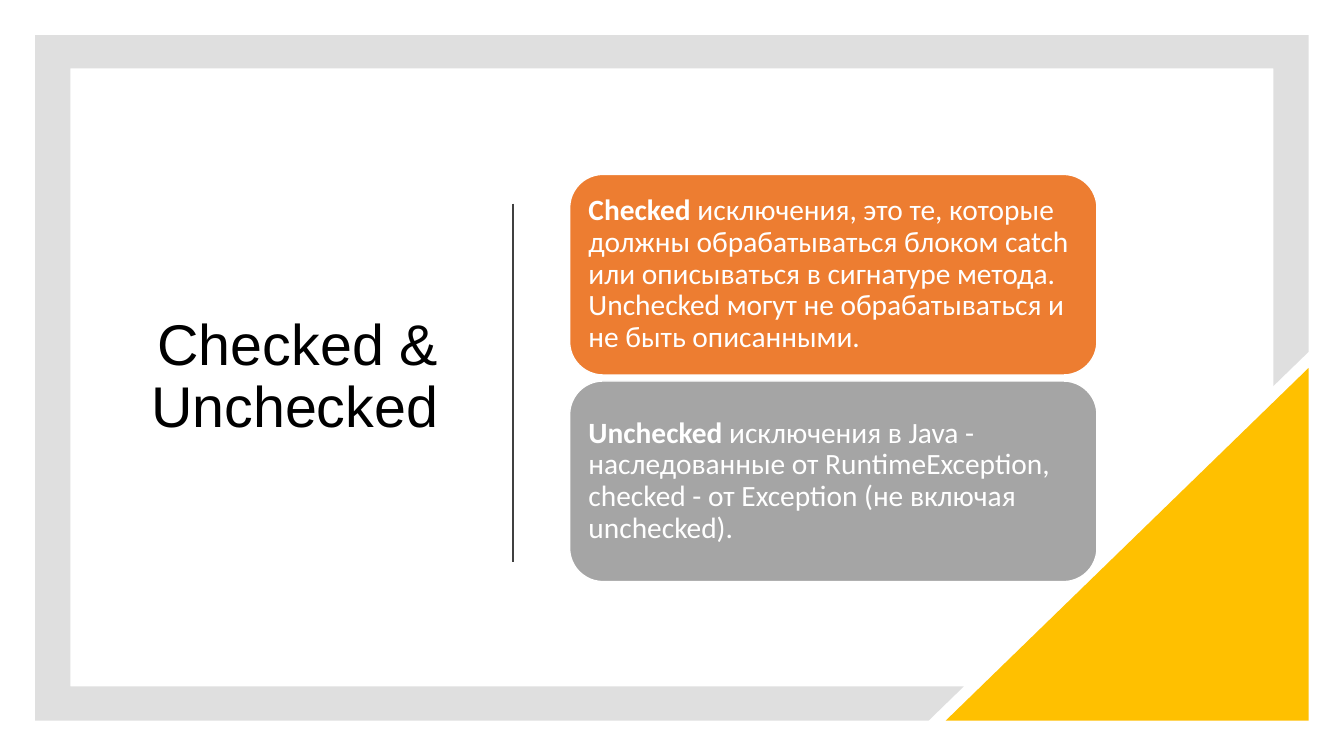
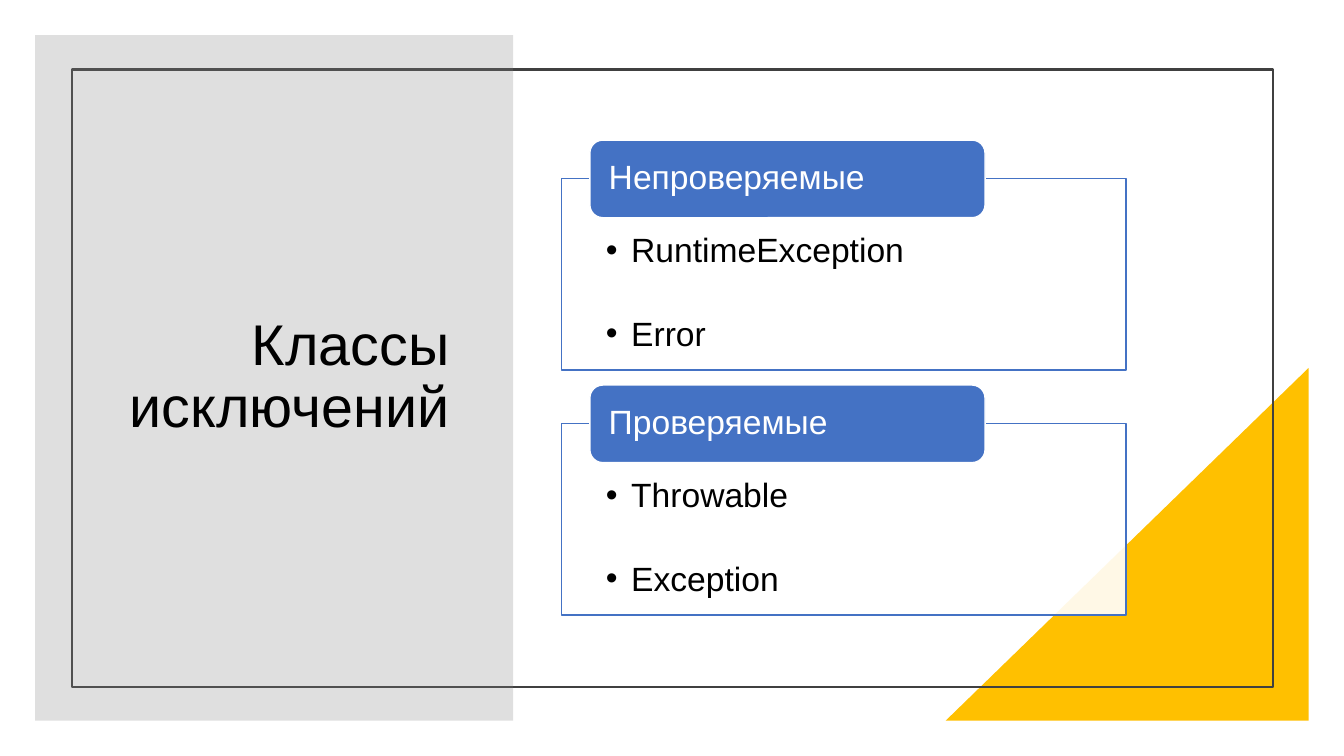
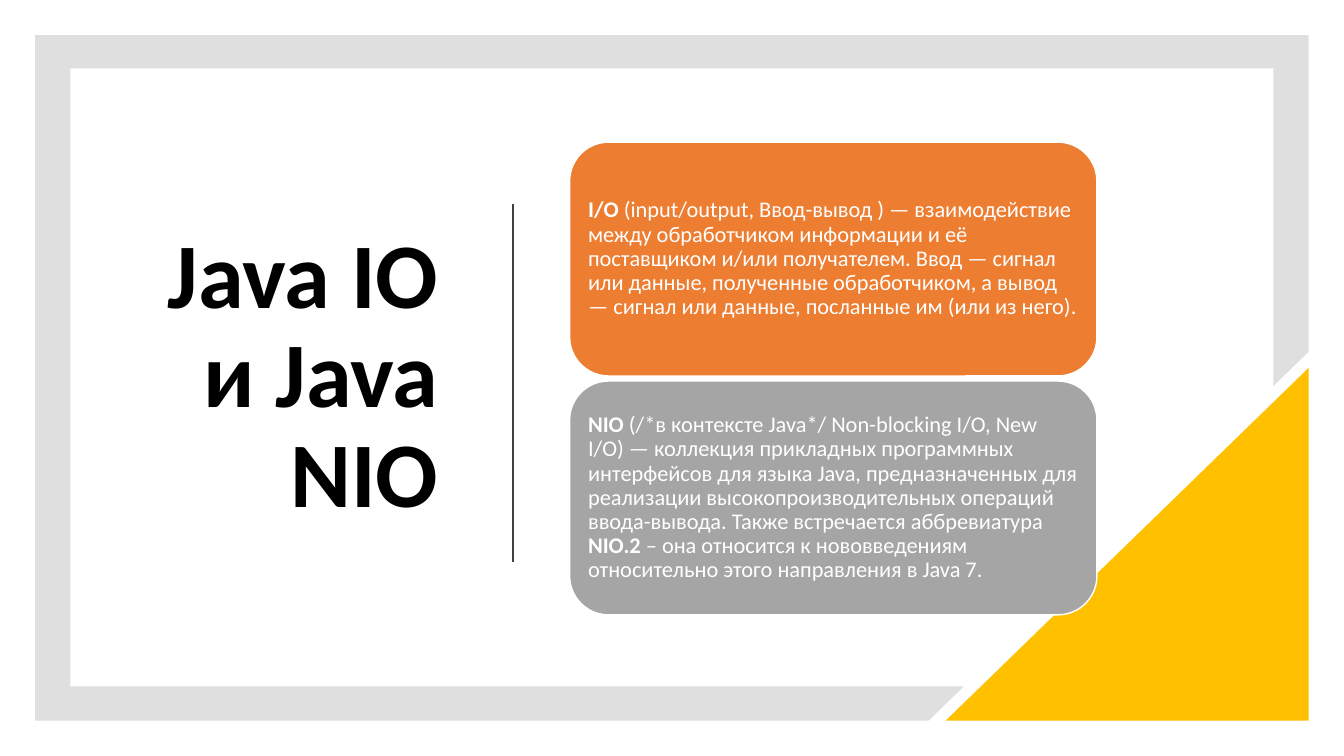
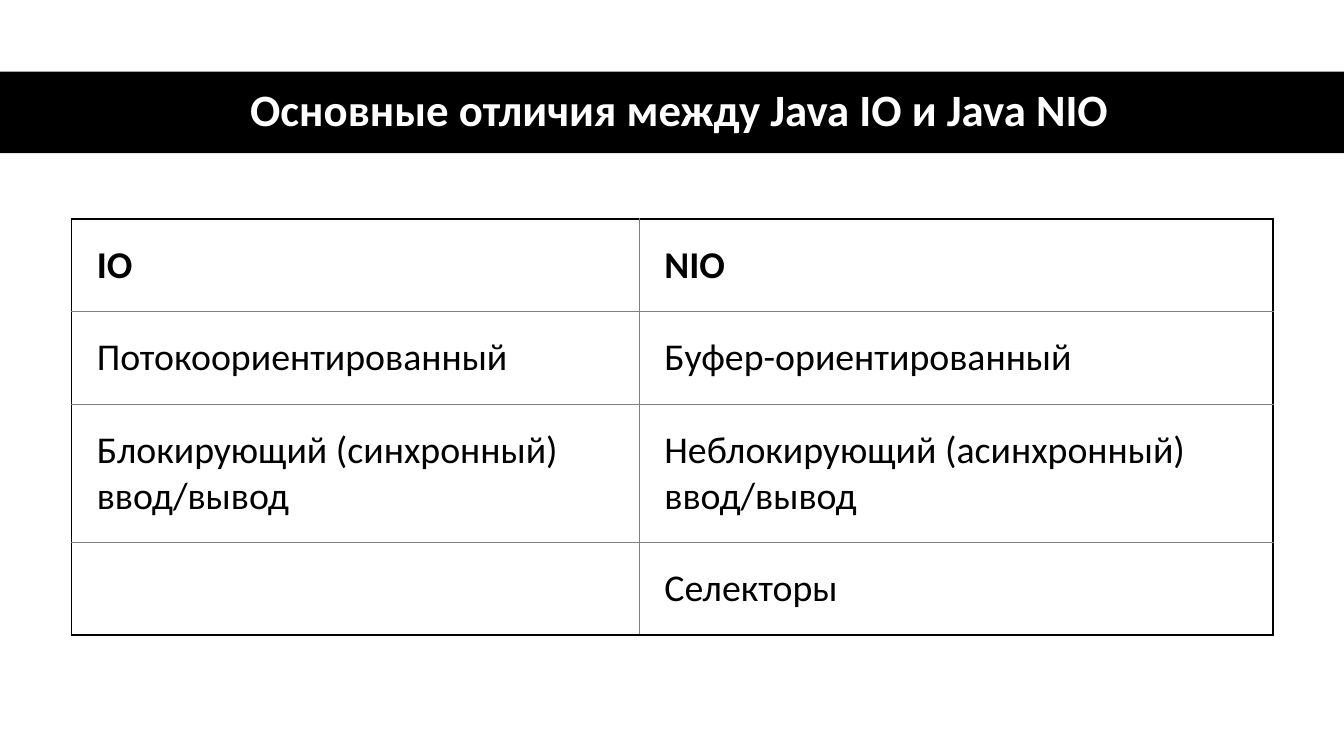
from pptx import Presentation
from pptx.dml.color import RGBColor
from pptx.enum.shapes import MSO_CONNECTOR, MSO_SHAPE
from pptx.enum.text import MSO_ANCHOR, MSO_AUTO_SIZE, PP_ALIGN
from pptx.oxml.ns import qn
from pptx.util import Inches, Pt
from lxml.etree import SubElement

BLACK, WHITE, GREY, DARK = "000000", "FFFFFF", "808080", "404040"
ORANGE, SILVER, BLUE, YELLOW = "ED7D31", "A5A5A5", "4472C4", "FFC000"


def paint(shape, fill=None, line=None, width=1, opacity=100):
    shape.shadow.inherit = False
    if fill:
        shape.fill.solid()
        shape.fill.fore_color.rgb = RGBColor.from_string(fill)
        if opacity < 100:
            color = shape.element.spPr.find(qn("a:solidFill"))[0]
            SubElement(color, qn("a:alpha")).set("val", str(opacity * 1000))
    else:
        shape.fill.background()
    if line:
        shape.line.color.rgb = RGBColor.from_string(line)
        shape.line.width = Pt(width)
    else:
        shape.line.fill.background()


def write(para, text, size, font, color, bold=False):
    span = para.add_run()
    span.text = text
    span.font.size = Pt(size)
    span.font.name = font
    span.font.bold = bold
    span.font.color.rgb = RGBColor.from_string(color)


deck = Presentation()
deck.slide_width = Inches(13.33)
deck.slide_height = Inches(7.5)
pages = [deck.slides.add_slide(deck.slide_layouts[number]) for number in (5, 3, 5, 5)]
checked_page, classes_page, io_page, table_page = pages

frame_corners = [
    (12.98, 0.35), (12.98, 3.49), (12.63, 3.83), (12.63, 0.68), (0.7, 0.68),
    (0.7, 6.81), (9.56, 6.81), (9.21, 7.15), (0.35, 7.15),
]
for page in (checked_page, io_page):
    builder = page.shapes.build_freeform(Inches(0.35), Inches(0.35))
    builder.add_line_segments([(Inches(x), Inches(y)) for x, y in frame_corners])
    paint(builder.convert_to_shape(), GREY, opacity=25)
    divider = page.shapes.add_connector(
        MSO_CONNECTOR.STRAIGHT, Inches(5.09), Inches(2.02), Inches(5.09), Inches(5.58))
    divider.line.color.rgb = RGBColor.from_string(DARK)
    divider.line.width = Pt(1.5)
    SubElement(divider.element.spPr, qn("a:effectLst"))

for page in (checked_page, classes_page, io_page):
    triangle = page.shapes.add_shape(
        MSO_SHAPE.RIGHT_TRIANGLE, Inches(9.38), Inches(3.65), Inches(3.6), Inches(3.5))
    triangle.element.spPr.xfrm.set("flipH", "1")
    paint(triangle, YELLOW)

outline = classes_page.shapes.add_shape(
    MSO_SHAPE.RECTANGLE, Inches(0.71), Inches(0.69), Inches(11.92), Inches(6.13))
paint(outline, line=DARK, width=1.5)
panel = classes_page.shapes.add_shape(
    MSO_SHAPE.RECTANGLE, Inches(0.35), Inches(0.35), Inches(4.74), Inches(6.8))
paint(panel, GREY, opacity=25)
band = table_page.shapes.add_shape(
    MSO_SHAPE.RECTANGLE, 0, Inches(0.71), deck.slide_width, Inches(0.81))
paint(band, BLACK)

titles = [
    ("Checked & Unchecked", (1.1, 1.3, 3.35, 4.9), 41, "Arial", BLACK, False, PP_ALIGN.RIGHT),
    ("Классы исключений", (1.1, 1.3, 3.46, 4.9), 41, "Arial", BLACK, False, PP_ALIGN.RIGHT),
    ("Java IO и Java NIO", (1.1, 1.3, 3.35, 4.9), 66, "Calibri", BLACK, True, PP_ALIGN.RIGHT),
    ("Основные отличия между Java IO и Java NIO", (0.61, 0.71, 12.26, 0.81), 32, "Calibri",
     WHITE, True, PP_ALIGN.CENTER),
]
for page, (text, place, size, font, color, bold, align) in zip(pages, titles):
    title = page.shapes.title
    title.element.getparent().append(title.element)
    title.left, title.top, title.width, title.height = [Inches(value) for value in place]
    title.text_frame.auto_size = MSO_AUTO_SIZE.NONE
    title.text_frame.vertical_anchor = MSO_ANCHOR.MIDDLE
    para = title.text_frame.paragraphs[0]
    para.alignment = align
    para.line_spacing = 0.9
    write(para, text, size, font, color, bold)

cards = [
    (checked_page, 1.73, 1.99, 0.09, 21, ORANGE, [
        ("Checked ", True),
        ("исключения, это те, которые должны обрабатываться блоком catch или описываться "
         "в сигнатуре метода. Unchecked могут не обрабатываться и не быть описанными.", False)]),
    (checked_page, 3.78, 1.99, 0.09, 21, SILVER, [
        ("Unchecked ", True),
        ("исключения в Java - наследованные от RuntimeException, checked - от Exception "
         "(не включая unchecked).", False)]),
    (io_page, 1.41, 2.32, 0.07, 16, ORANGE, [
        ("I/O", True),
        (" (input/output, Ввод-вывод ) — взаимодействие между обработчиком информации и её "
         "поставщиком и/или получателем. Ввод — сигнал или данные, полученные обработчиком, "
         "а вывод — сигнал или данные, посланные им (или из него).", False)]),
    (io_page, 3.78, 2.32, 0.07, 16, SILVER, [
        ("NIO", True),
        (" (/*в контексте Java*/ Non-blocking I/O, New I/O) — коллекция прикладных программных "
         "интерфейсов для языка Java, предназначенных для реализации высокопроизводительных "
         "операций ввода-вывода. Также встречается аббревиатура ", False),
        ("NIO.2", True),
        (" – она относится к нововведениям относительно этого направления в Java 7.", False)]),
]
for page, top, height, margin, size, color, parts in cards:
    card = page.shapes.add_shape(
        MSO_SHAPE.ROUNDED_RECTANGLE, Inches(5.65), Inches(top), Inches(5.23), Inches(height))
    paint(card, color, WHITE)
    frame = card.text_frame
    frame.word_wrap = True
    frame.vertical_anchor = MSO_ANCHOR.MIDDLE
    frame.margin_left = frame.margin_right = Inches(margin)
    frame.margin_top = frame.margin_bottom = Inches(margin)
    para = frame.paragraphs[0]
    para.alignment = PP_ALIGN.LEFT
    para.line_spacing = 0.9
    for text, bold in parts:
        write(para, text, size, "Calibri", WHITE, bold)

groups = [
    ("Непроверяемые", ["RuntimeException", "Error"]),
    ("Проверяемые", ["Throwable", "Exception"]),
]
for index, (heading, items) in enumerate(groups):
    top = 1.77 + 2.43 * index
    box = classes_page.placeholders[index + 1]
    box.element.getparent().append(box.element)
    box.left, box.top, box.width, box.height = Inches(5.57), Inches(top), Inches(5.6), Inches(1.9)
    paint(box, WHITE, BLUE, opacity=90)
    frame = box.text_frame
    frame.auto_size = MSO_AUTO_SIZE.NONE
    frame.vertical_anchor = MSO_ANCHOR.TOP
    frame.margin_left = frame.margin_right = Inches(0.44)
    frame.margin_top, frame.margin_bottom = Inches(0.55), Inches(0.19)
    for number, item in enumerate(items):
        para = frame.add_paragraph() if number else frame.paragraphs[0]
        para.line_spacing = 0.9
        para.space_before = Pt(33.5 * number)
        properties = para._p.get_or_add_pPr()
        properties.set("marL", str(Inches(0.25)))
        properties.set("indent", str(-Inches(0.25)))
        SubElement(properties, qn("a:buChar")).set("char", "•")
        write(para, item, 24, "Arial", BLACK)

    header = classes_page.shapes.add_shape(
        MSO_SHAPE.ROUNDED_RECTANGLE, Inches(5.85), Inches(top - 0.38), Inches(3.92), Inches(0.77))
    paint(header, BLUE, WHITE)
    header.text_frame.vertical_anchor = MSO_ANCHOR.MIDDLE
    header.text_frame.margin_left = Inches(0.15)
    para = header.text_frame.paragraphs[0]
    para.alignment = PP_ALIGN.LEFT
    para.line_spacing = 0.9
    write(para, heading, 24, "Arial", WHITE)

rows = [
    ("IO", "NIO"),
    ("Потокоориентированный", "Буфер-ориентированный"),
    ("Блокирующий (синхронный) ввод/вывод", "Неблокирующий (асинхронный) ввод/вывод"),
    ("", "Селекторы"),
]
table = table_page.shapes.add_table(
    4, 2, Inches(0.71), Inches(2.17), Inches(11.92), Inches(4.13)).table
table.first_row = table.horz_banding = False
for column, width in zip(table.columns, (5.63, 6.29)):
    column.width = Inches(width)
for row, height in zip(table.rows, (0.92, 0.92, 1.37, 0.92)):
    row.height = Inches(height)
for row_index, texts in enumerate(rows):
    for column_index, text in enumerate(texts):
        cell = table.cell(row_index, column_index)
        cell.vertical_anchor = MSO_ANCHOR.MIDDLE
        cell.margin_left = Inches(0.25)
        cell.margin_right = cell.margin_top = cell.margin_bottom = Inches(0.19)
        sides = [("L", column_index == 0), ("R", column_index == 1),
                 ("T", row_index == 0), ("B", row_index == 3)]
        for side, outer in sides:
            border = SubElement(cell._tc.get_or_add_tcPr(), qn("a:ln" + side))
            border.set("w", str(Pt(1.5 if outer else 0.5)))
            color = SubElement(SubElement(border, qn("a:solidFill")), qn("a:srgbClr"))
            color.set("val", BLACK if outer else GREY)
        cell.fill.background()
        if text:
            write(cell.text_frame.paragraphs[0], text, 27, "Calibri", BLACK, row_index == 0)

deck.save("out.pptx")
